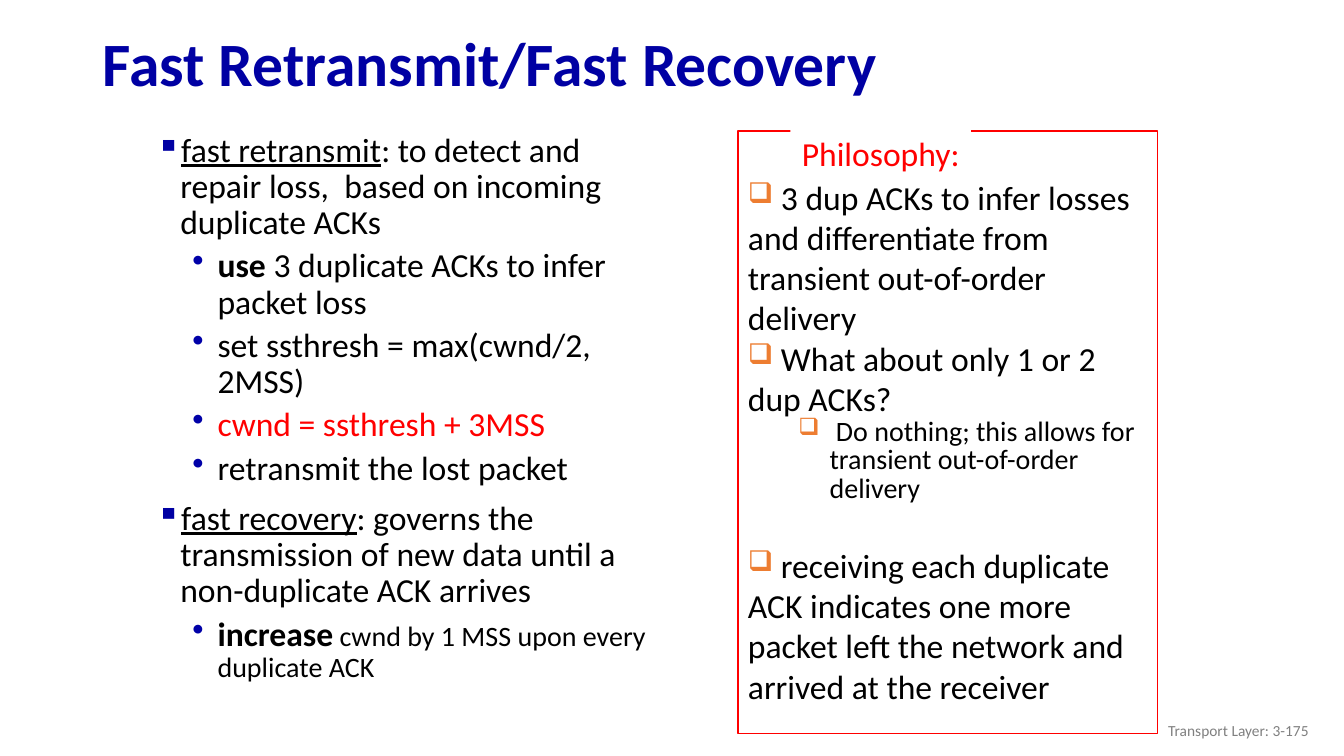
from lxml import etree
from pptx import Presentation
from pptx import util as u
from pptx.dml.color import RGBColor
from pptx.enum import shapes, text
from pptx.oxml import ns

PX = 9144
HUES = {"navy": "0000A3", "blue": "0000A8", "red": "FF0000", "black": "000000",
        "orange": "ED7D31", "gray": "808080", "white": "FFFFFF"}
POINT = dict(mark="▪", tint="navy", left=39, hang=24, lead=0.9, before=10)
SUB = dict(mark="•", tint="blue", left=76, hang=25, lead=0.9, before=5)
BOX = dict(mark="❑", tint="orange", scale=85)
INNER = dict(BOX, left=81, hang=31, lead=0.85, size=20)


class Deck:
    """Hold the style and the current slide, and draw its elements."""

    def __init__(self, font):
        self.font = font
        self.prs = Presentation()
        self.prs.slide_width, self.prs.slide_height = u.Inches(13.33), u.Inches(7.5)
        self.slide = self.prs.slides.add_slide(self.prs.slide_layouts[6])

    def hue(self, name):
        return RGBColor.from_string(HUES[name])

    def bullet(self, para, mark, tint, left, hang, scale):
        props = para._p.get_or_add_pPr()
        props.set("marL", str(left * PX))
        props.set("indent", str(-hang * PX))
        color = etree.SubElement(props, ns.qn("a:buClr"))
        etree.SubElement(color, ns.qn("a:srgbClr"), val=HUES[tint])
        etree.SubElement(props, ns.qn("a:buSzPct"), val=str(scale * 1000))
        etree.SubElement(props, ns.qn("a:buChar"), char=mark)

    def para(self, para, parts, size=24, color="black", bold=None, align=None,
             mark=None, tint=None, left=0, hang=0, scale=100, lead=None, before=0):
        para.alignment = align
        para.line_spacing = lead
        para.space_before = u.Pt(before)
        if mark:
            self.bullet(para, mark, tint, left, hang, scale)
        font = para.font
        font.name, font.size, font.bold = self.font, u.Pt(size), bold
        font.color.rgb = self.hue(color)
        for words, look in parts:
            run = para.add_run()
            run.text = words
            for key, value in look.items():
                setattr(run.font, key, value)

    def fill(self, shape, items, anchor, wrap=True, top=5):
        frame = shape.text_frame
        frame.word_wrap, frame.vertical_anchor = wrap, anchor
        frame.margin_top = top * PX
        for i, (parts, style) in enumerate(items):
            para = frame.add_paragraph() if i else frame.paragraphs[0]
            style = style if i else dict(style, before=0)
            parts = [(parts, {})] if isinstance(parts, str) else parts
            self.para(para, parts, **style)

    def text(self, box, items, anchor=text.MSO_ANCHOR.TOP):
        shape = self.slide.shapes.add_textbox(*(n * PX for n in box))
        self.fill(shape, items, anchor)

    def rect(self, box, items, fill=None, line=None, **opts):
        shape = self.slide.shapes.add_shape(
            shapes.MSO_SHAPE.RECTANGLE, *(n * PX for n in box))
        shape.shadow.inherit = False
        if fill:
            shape.fill.solid()
            shape.fill.fore_color.rgb = self.hue(fill)
        else:
            shape.fill.background()
        if line:
            shape.line.color.rgb = self.hue(line)
            shape.line.width = u.Pt(1)
        else:
            shape.line.fill.background()
        self.fill(shape, items, text.MSO_ANCHOR.TOP, **opts)


def main():
    deck = Deck("Calibri")
    under, bold = {"underline": True}, {"bold": True}
    mid = text.MSO_ANCHOR.MIDDLE
    deck.text((92, 17, 1150, 98), [
        ("Fast Retransmit/Fast Recovery",
         dict(size=44, color="navy", bold=True, lead=0.9))], mid)
    deck.text((130, 127, 537, 578), [
        ([("fast retransmit", under),
          (": to detect and repair loss,  based on incoming duplicate ACKs", {})], POINT),
        ([("use", bold), (" 3 duplicate ACKs to infer packet loss", {})], SUB),
        ("set ssthresh = max(cwnd/2, 2MSS)", SUB),
        ("cwnd = ssthresh + 3MSS", dict(SUB, color="red")),
        ("retransmit the lost packet", SUB),
        ([("fast recovery", under),
          (": governs the transmission of new data until a non-duplicate ACK arrives", {})],
         POINT),
        ([("increase", bold),
          (" cwnd by 1 MSS upon every duplicate ACK", {"size": u.Pt(20)})], SUB)])
    deck.rect((732, 130, 416, 598), [
        (" 3 dup ACKs to infer losses and differentiate from transient out-of-order delivery",
         BOX),
        (" What about only 1 or 2 dup ACKs?", BOX),
        (" Do nothing; this allows for transient out-of-order delivery", INNER),
        (" receiving each duplicate ACK indicates one more packet left the network "
         "and arrived at the receiver", dict(BOX, before=29))], line="red", top=45)
    deck.rect((784, 127, 179, 51), [
        ("Philosophy:", dict(color="red", align=text.PP_ALIGN.CENTER))],
        fill="white", wrap=False)
    deck.text((1008, 705, 300, 40), [
        ("Transport Layer: 3-175",
         dict(size=11, color="gray", align=text.PP_ALIGN.RIGHT))], mid)
    deck.prs.save("out.pptx")


if __name__ == "__main__":
    main()
